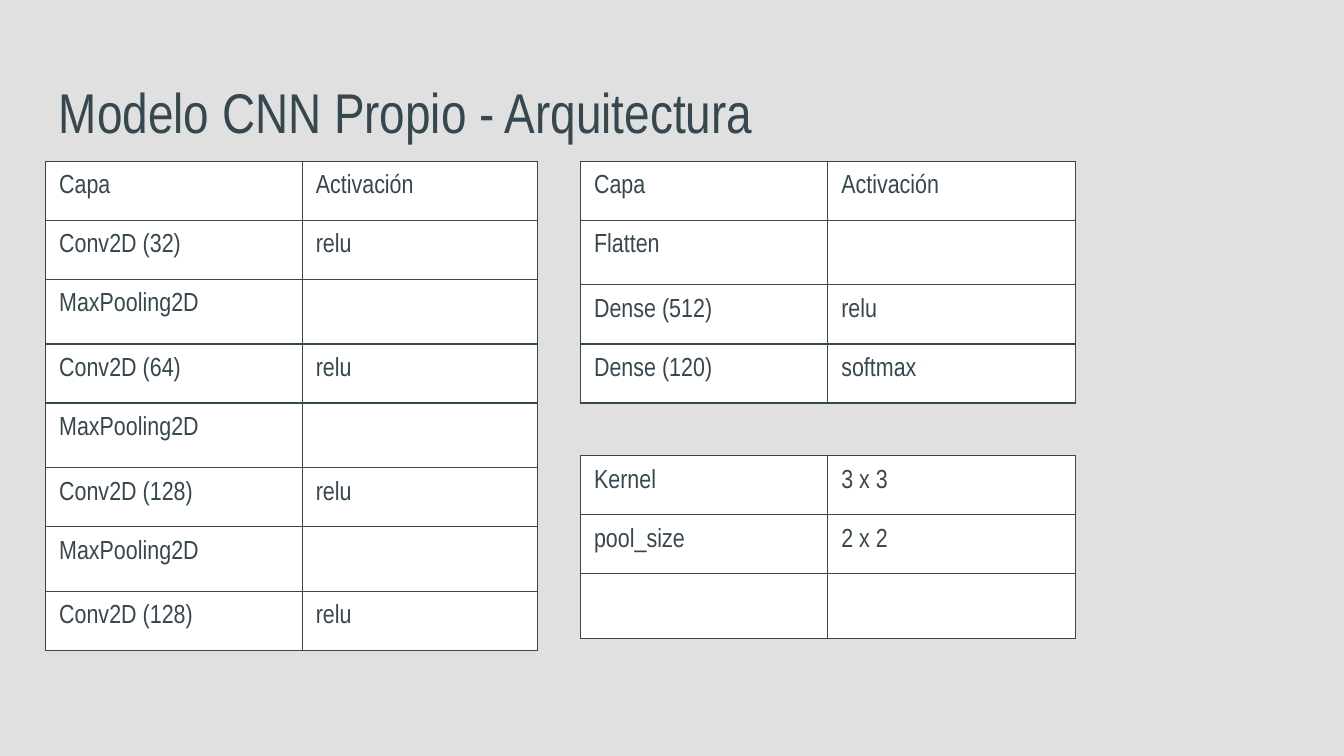
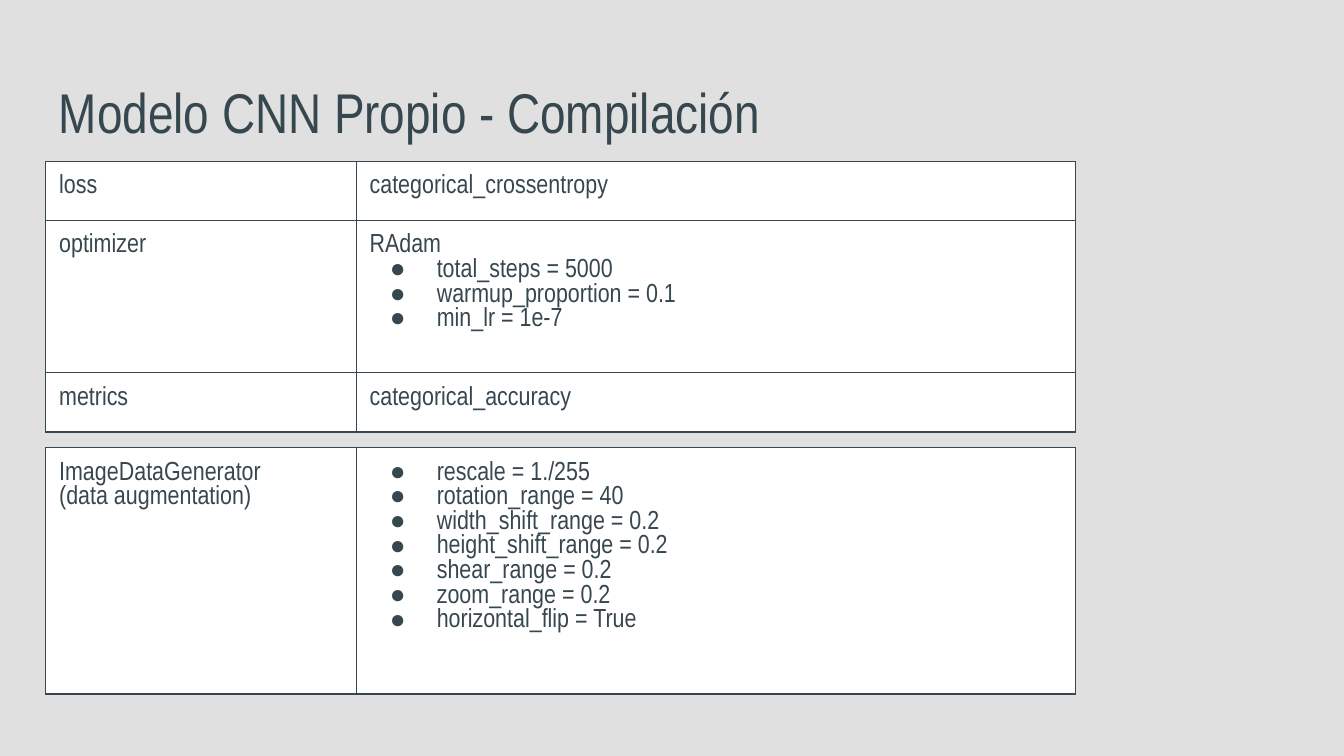
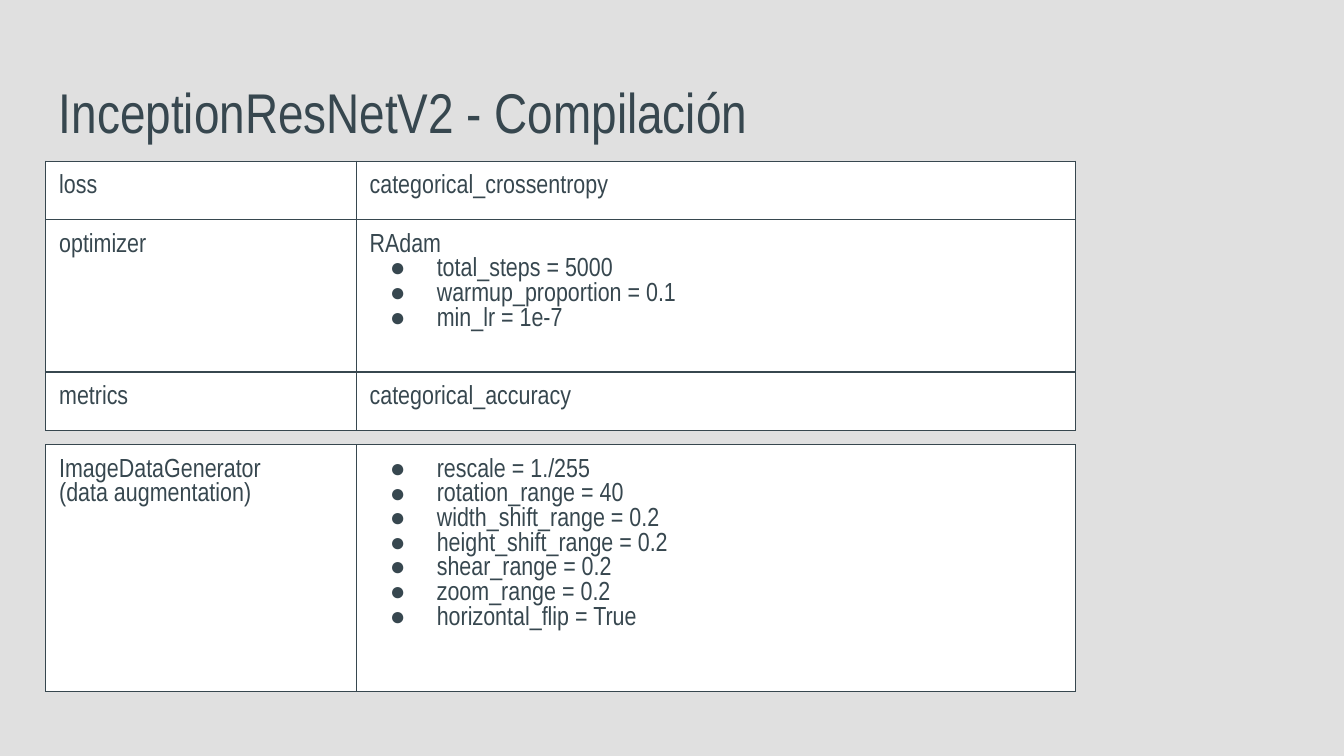
from lxml.etree import SubElement
from pptx import Presentation
from pptx.dml.color import RGBColor
from pptx.enum.text import MSO_ANCHOR as Anchor
from pptx.oxml.ns import qn
from pptx.util import Inches, Pt

GREY = RGBColor(0xE0, 0xE0, 0xE0)
SLATE = RGBColor(0x37, 0x47, 0x4F)
WHITE = RGBColor(0xFF, 0xFF, 0xFF)
FACE = "Arial Narrow"
LEFT, TOP, RIGHT = 0.34, 1.2, 4.32
ROW, TALL = 0.44, 0.48
WIDE = (2.31, 5.35)
PAIR = (1.84, 1.84)
MARK = "- "

HEAD = ("Capa", "Activación")
POOL = ("MaxPooling2D", "")
CONV = [HEAD, ("Conv2D (32)", "relu"), POOL, ("Conv2D (64)", "relu"), POOL,
        ("Conv2D (128)", "relu"), POOL, ("Conv2D (128)", "relu")]
DENSE = [HEAD, ("Flatten", ""), ("Dense (512)", "relu"), ("Dense (120)", "softmax")]
SIZES = [("Kernel", "3 x 3"), ("pool_size", "2 x 2"), ("", "")]
SETUP = [
    ("loss", "categorical_crossentropy"),
    ("optimizer", "RAdam\n- total_steps = 5000\n- warmup_proportion = 0.1\n- min_lr = 1e-7"),
    ("metrics", "categorical_accuracy"),
]
IMAGES = [(
    "ImageDataGenerator\n(data augmentation)",
    "- rescale = 1./255\n- rotation_range = 40\n- width_shift_range = 0.2\n"
    "- height_shift_range = 0.2\n- shear_range = 0.2\n- zoom_range = 0.2\n"
    "- horizontal_flip = True",
)]


def style(para, size):
    para.font.name = FACE
    para.font.size = Pt(size)
    para.font.color.rgb = SLATE
    for run in para.runs:
        run.font.size = Pt(size)
    end = SubElement(para._p, qn("a:endParaRPr"), sz=str(size * 100))
    SubElement(end, qn("a:latin"), typeface=FACE)


def paint(parent, tag):
    SubElement(SubElement(parent, qn(tag)), qn("a:srgbClr"), val=str(SLATE))


def bullet(para):
    props = para._p.get_or_add_pPr()
    props.set("marL", str(Inches(0.5)))
    props.set("indent", str(Inches(-0.35)))
    paint(props, "a:buClr")
    SubElement(props, qn("a:buFont"), typeface=FACE)
    SubElement(props, qn("a:buChar"), char="●")


def border(cell):
    props = cell._tc.get_or_add_tcPr()
    for side in "LRTB":
        line = SubElement(props, qn(f"a:ln{side}"), w=str(Pt(0.75)))
        paint(line, "a:solidFill")


def write(cell, text):
    border(cell)
    cell.fill.solid()
    cell.fill.fore_color.rgb = WHITE
    cell.margin_left = cell.margin_right = Inches(0.1)
    cell.margin_top = cell.margin_bottom = Inches(0.1)
    frame = cell.text_frame
    frame.text = text.replace(MARK, "")
    for para, line in zip(frame.paragraphs, text.split("\n")):
        if line.startswith(MARK):
            bullet(para)
        style(para, 14)


def grid(slide, left, top, cols, rows, highs=None):
    highs = highs or [ROW if all(row) else TALL for row in rows]
    table = slide.shapes.add_table(
        len(rows), len(cols), Inches(left), Inches(top),
        Inches(sum(cols)), Inches(sum(highs))).table
    table.first_row = table.horz_banding = False
    for col, width in zip(table.columns, cols):
        col.width = Inches(width)
    for line, high, row in zip(table.rows, highs, rows):
        line.height = Inches(high)
        for cell, text in zip(line.cells, row):
            write(cell, text)


def start(deck, title, width=9.32):
    slide = deck.slides.add_slide(deck.slide_layouts[6])
    slide.background.fill.solid()
    slide.background.fill.fore_color.rgb = GREY
    box = slide.shapes.add_textbox(Inches(LEFT), Inches(0.49), Inches(width), Inches(0.63))
    frame = box.text_frame
    frame.word_wrap = True
    frame.vertical_anchor = Anchor.BOTTOM
    frame.margin_left = frame.margin_right = frame.margin_top = Inches(0.1)
    frame.margin_bottom = Inches(0.04)
    frame.text = title
    style(frame.paragraphs[0], 30)
    return slide, box


def layers(deck):
    slide, box = start(deck, "Modelo CNN Propio - Arquitectura")
    box.fill.solid()
    box.fill.fore_color.rgb = GREY
    grid(slide, LEFT, TOP, (1.91, 1.75), CONV)
    grid(slide, RIGHT, TOP, PAIR, DENSE)
    grid(slide, RIGHT, 3.39, PAIR, SIZES)


def compiled(deck, title, width, highs, low):
    slide, _ = start(deck, title, width)
    grid(slide, LEFT, TOP, WIDE, SETUP, highs)
    grid(slide, LEFT, low, WIDE, IMAGES, [1.48])


def main():
    deck = Presentation()
    deck.slide_width = Inches(10)
    deck.slide_height = deck.slide_width * 9 // 16
    layers(deck)
    compiled(deck, "Modelo CNN Propio - Compilación", 9.32, (ROW, 0.93, ROW), 3.33)
    compiled(deck, "InceptionResNetV2 - Compilación", 9.52, (0.4, 1.12, 0.4), 3.31)
    deck.save("out.pptx")


if __name__ == "__main__":
    main()
